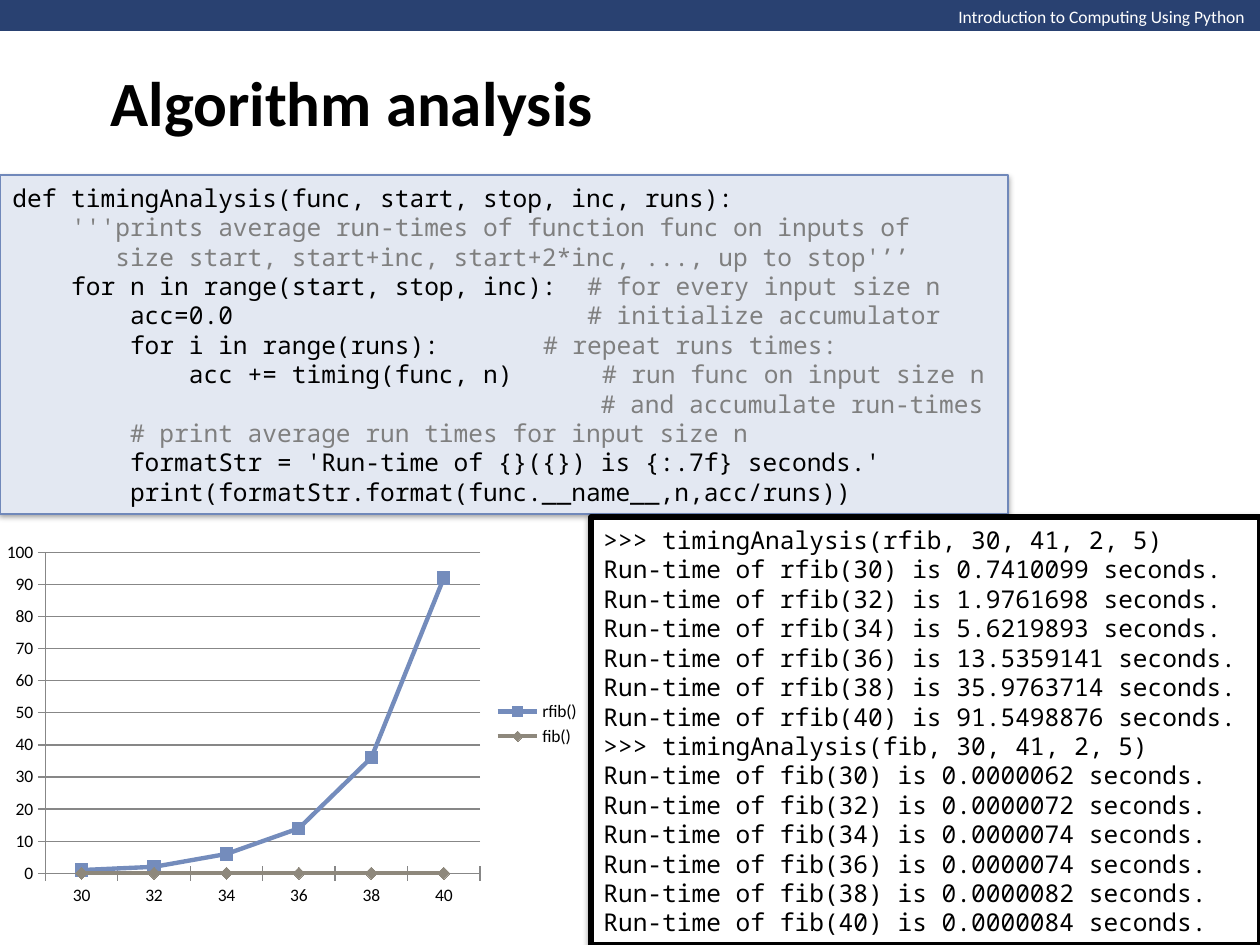
from lxml import etree
from pptx import Presentation
from pptx.chart.data import CategoryChartData
from pptx.dml.color import RGBColor
from pptx.enum.chart import XL_CHART_TYPE, XL_LEGEND_POSITION, XL_MARKER_STYLE, XL_TICK_MARK
from pptx.enum.shapes import MSO_SHAPE
from pptx.enum.text import MSO_ANCHOR, PP_ALIGN
from pptx.util import Pt

LINE_MARKERS = XL_CHART_TYPE.LINE_MARKERS
LEGEND_RIGHT = XL_LEGEND_POSITION.RIGHT
SQUARE, DIAMOND = XL_MARKER_STYLE.SQUARE, XL_MARKER_STYLE.DIAMOND
CROSS = XL_TICK_MARK.CROSS
RECTANGLE = MSO_SHAPE.RECTANGLE
MIDDLE = MSO_ANCHOR.MIDDLE
LEFT = PP_ALIGN.LEFT

EMU_PER_PX = 914400 / 126
COLORS = {name: RGBColor.from_string(value) for name, value in {
    "black": "000000", "white": "FFFFFF", "band": "294171",
    "code fill": "E3E8F2", "code line": "7088BA", "comment": "7F7F7F",
    "rfib": "748CBC", "fib": "8E887C", "axis": "878787",
}.items()}
SHADOW = """<a:effectLst xmlns:a="http://schemas.openxmlformats.org/drawingml/2006/main">
<a:outerShdw blurRad="40000" dist="20000" dir="5400000" rotWithShape="0">
<a:srgbClr val="000000"><a:alpha val="38000"/></a:srgbClr></a:outerShdw></a:effectLst>"""


def px(*lengths):
    return [round(length * EMU_PER_PX) for length in lengths]


def write_lines(shape, lines, font="Calibri", size=14, color="black", bold=False, wrap=True):
    """Fill a shape with lines; each line is a list of text or (text, color) runs."""
    frame = shape.text_frame
    frame.word_wrap = wrap
    for index, line in enumerate(lines):
        paragraph = frame.add_paragraph() if index else frame.paragraphs[0]
        paragraph.alignment = LEFT
        for part in line:
            text, run_color = (part, color) if isinstance(part, str) else part
            run = paragraph.add_run()
            run.text = text
            run.font.name = font
            run.font.size = Pt(size)
            run.font.bold = bold
            run.font.color.rgb = COLORS[run_color]


presentation = Presentation()
presentation.slide_width, presentation.slide_height = px(1260, 945)
slide = presentation.slides.add_slide(presentation.slide_layouts[5])
shapes = slide.shapes

# Title
title = shapes.title
title.left, title.top, title.width, title.height = px(98, 0, 1071, 203)
title.text_frame.vertical_anchor = MIDDLE
write_lines(title, [["Algorithm analysis"]], size=36, bold=True)

# Header band
band = shapes.add_shape(RECTANGLE, *px(0, 0, 1260, 31))
band.shadow.inherit = False
band.fill.solid()
band.fill.fore_color.rgb = COLORS["band"]
band.line.fill.background()
header = shapes.add_textbox(*px(946, 0, 315, 34))
write_lines(header, [["Introduction to Computing Using Python"]],
            size=10, color="white", wrap=False)

# Run-times as printed in the console, also plotted in the chart
input_sizes = range(30, 41, 2)
run_times = {
    "rfib": ["0.7410099", "1.9761698", "5.6219893", "13.5359141", "35.9763714", "91.5498876"],
    "fib": ["0.0000062", "0.0000072", "0.0000074", "0.0000074", "0.0000082", "0.0000084"],
}

# Chart
chart_data = CategoryChartData()
chart_data.categories = input_sizes
for function, times in run_times.items():
    chart_data.add_series(f"{function}()", [round(float(time)) for time in times])
chart = shapes.add_chart(LINE_MARKERS, *px(-5, 535, 598, 378), chart_data).chart
chart.has_title = False
chart.font.name = "Calibri"
chart.font.size = Pt(10)
chart.font.color.rgb = COLORS["black"]
chart.has_legend = True
chart.legend.position = LEGEND_RIGHT
chart.legend.include_in_layout = False
chart.plots[0].vary_by_categories = False
for axis in (chart.category_axis, chart.value_axis):
    axis.major_tick_mark = CROSS
    axis.format.line.color.rgb = COLORS["axis"]
value_axis = chart.value_axis
value_axis.minimum_scale, value_axis.maximum_scale, value_axis.major_unit = 0, 100, 10
value_axis.has_major_gridlines = True
value_axis.major_gridlines.format.line.color.rgb = COLORS["axis"]
for series, function, marker in zip(chart.plots[0].series, run_times, (SQUARE, DIAMOND)):
    series.smooth = False
    series.format.line.color.rgb = COLORS[function]
    series.format.line.width = Pt(2.5)
    series.marker.style = marker
    series.marker.size = 7
    series.marker.format.fill.solid()
    series.marker.format.fill.fore_color.rgb = COLORS[function]
    series.marker.format.line.color.rgb = COLORS[function]

# Code and console panels
code_lines = [
    ["def timingAnalysis(func, start, stop, inc, runs):"],
    [("    '''prints average run-times of function func on inputs of", "comment")],
    [("       size start, start+inc, start+2*inc, ..., up to stop'’’", "comment")],
    ["    for n in range(start, stop, inc):  ", ("# for every input size n", "comment")],
    ["        acc=0.0                        ", ("# initialize accumulator", "comment")],
    ["        for i in range(runs):       ", ("# repeat runs times:", "comment")],
    ["            acc += timing(func, n)      ", ("# run func on input size n", "comment")],
    [("                                        # and accumulate run-times", "comment")],
    [("        # print average run times for input size n", "comment")],
    ["        formatStr = 'Run-time of {}({}) is {:.7f} seconds.'"],
    ["        print(formatStr.format(func.__name__,n,acc/runs))"],
]
console_lines = []
for function, times in run_times.items():
    console_lines.append([f">>> timingAnalysis({function}, 30, 41, 2, 5)"])
    for input_size, time in zip(input_sizes, times):
        console_lines.append([f"Run-time of {function}({input_size}) is {time} seconds."])

panels = [
    ((0, 175, 1008, 339), "code fill", "code line", 0.75, code_lines),
    ((591, 517, 669, 428), "white", "black", 3, console_lines),
]
for box, fill, line, line_width, lines in panels:
    panel = shapes.add_shape(RECTANGLE, *px(*box))
    panel.fill.solid()
    panel.fill.fore_color.rgb = COLORS[fill]
    panel.line.color.rgb = COLORS[line]
    panel.line.width = Pt(line_width)
    panel._element.spPr.append(etree.fromstring(SHADOW))
    panel.text_frame.vertical_anchor = MIDDLE
    write_lines(panel, lines, font="Noto Sans Mono")

presentation.save("out.pptx")
